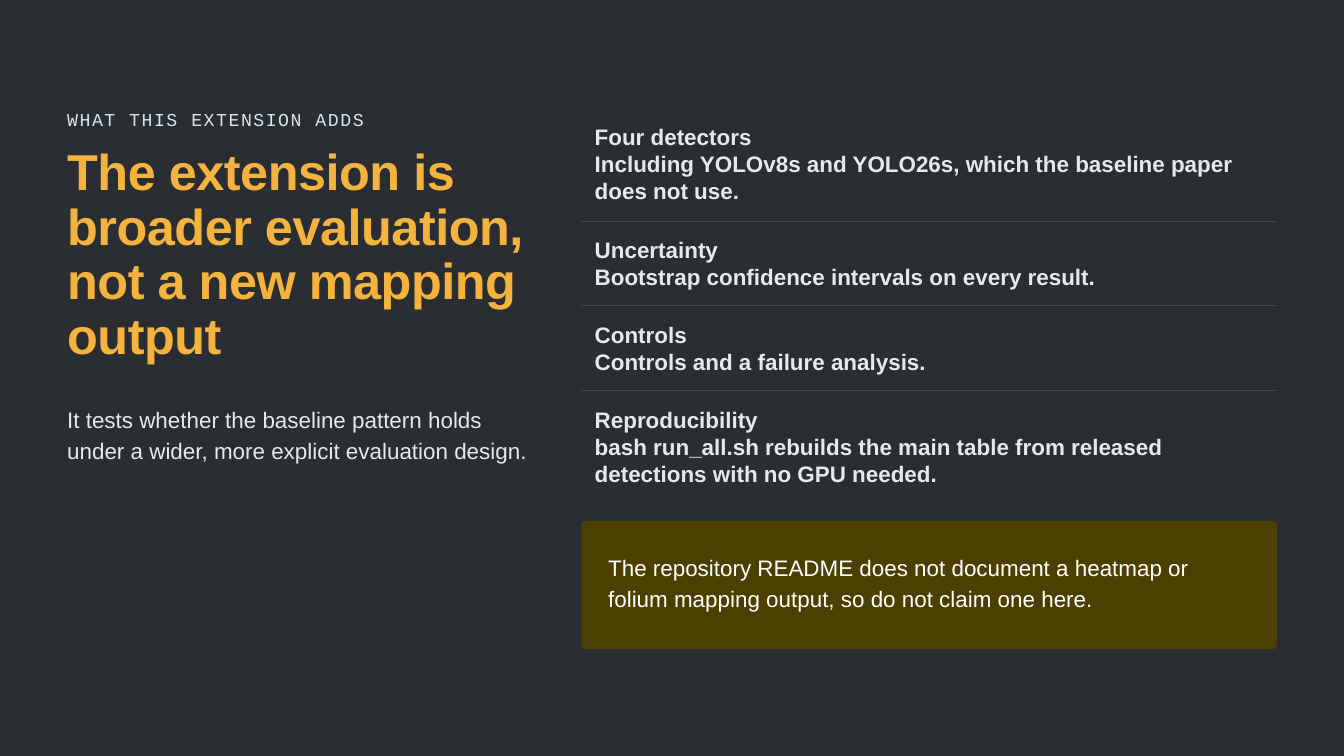
from pptx import Presentation
from pptx.dml.color import RGBColor
from pptx.enum.shapes import MSO_SHAPE
from pptx.enum.text import MSO_ANCHOR, MSO_AUTO_SIZE
from pptx.oxml.ns import qn
from pptx.util import Pt
from lxml.etree import SubElement

BG, RULE, LIGHT = "2A2E32", "3F474C", "E4E9EB"


def rgb(value):
    return RGBColor.from_string(value)


def write(tf, lines, size, color, spacing, font="Arial", bold=False, tracking=0):
    """Fill a text frame, one paragraph per line; spacing and tracking in points."""
    tf.word_wrap = True
    for i, line in enumerate(lines):
        p = tf.paragraphs[0] if i == 0 else tf.add_paragraph()
        p.line_spacing = Pt(spacing)
        p.font.size = Pt(size)
        p.font.name = font
        p.font.bold = bold
        p.font.color.rgb = rgb(color)
        r = p.add_run()
        r.text = line
        if tracking:
            r._r.get_or_add_rPr().set("spc", str(round(tracking * 100)))


prs = Presentation()
prs.slide_width, prs.slide_height = Pt(1440), Pt(810)
s = prs.slides.add_slide(prs.slide_layouts[6])
s.background.fill.solid()
s.background.fill.fore_color.rgb = rgb(BG)

# Warning panel behind its text
panel = s.shapes.add_shape(MSO_SHAPE.ROUNDED_RECTANGLE, Pt(622.8), Pt(558), Pt(745.2), Pt(137.5))
panel.adjustments[0] = 0.03
panel.shadow.inherit = False
panel.fill.solid()
panel.fill.fore_color.rgb = rgb("4B3F02")
panel.line.fill.background()

# Text boxes: left, top, width, height, text, style
boxes = [
    (72, 115.2, 496.8, 25.2, "WHAT THIS EXTENSION ADDS",
     dict(size=19.5, color="D3E6EE", spacing=24.3, font="Courier New", tracking=1.6)),
    (72, 157, 496.8, 254.2, "The extension is broader evaluation, not a new mapping output",
     dict(size=54, color="F4B23E", spacing=58.3, bold=True, tracking=-0.5)),
    (72, 430.6, 496.8, 70.6,
     "It tests whether the baseline pattern holds under a wider, more explicit evaluation design.",
     dict(size=24, color=LIGHT, spacing=33.1)),
    (651.6, 589, 688.3, 70.6,
     "The repository README does not document a heatmap or folium mapping output, "
     "so do not claim one here.",
     dict(size=24, color="FFFFFF", spacing=33.1)),
]
for left, top, width, height, text, style in boxes:
    tf = s.shapes.add_textbox(Pt(left), Pt(top), Pt(width), Pt(height)).text_frame
    tf.margin_left = tf.margin_top = tf.margin_right = tf.margin_bottom = 0
    tf.auto_size = MSO_AUTO_SIZE.SHAPE_TO_FIT_TEXT
    write(tf, [text], **style)

# Additions table, ruled only between rows
additions = [
    (122.4, "Four detectors",
     "Including YOLOv8s and YOLO26s, which the baseline paper does not use."),
    (90.7, "Uncertainty", "Bootstrap confidence intervals on every result."),
    (90.7, "Controls", "Controls and a failure analysis."),
    (121, "Reproducibility",
     "bash run_all.sh rebuilds the main table from released detections with no GPU needed."),
]
table = s.shapes.add_table(len(additions), 1, Pt(622.8), Pt(114.5), Pt(743.8), Pt(424.8)).table
table.first_row = table.horz_banding = False
last = len(additions) - 1
for i, (height, *lines) in enumerate(additions):
    table.rows[i].height = Pt(height)
    cell = table.cell(i, 0)
    cell.vertical_anchor = MSO_ANCHOR.MIDDLE
    cell.margin_left = cell.margin_top = cell.margin_right = cell.margin_bottom = Pt(14.4)
    write(cell.text_frame, lines, 24, LIGHT, 28.8, bold=True)
    borders = {
        "a:lnL": BG,
        "a:lnR": BG,
        "a:lnT": RULE if i > 0 else BG,
        "a:lnB": RULE if i < last else BG,
    }
    tcPr = cell._tc.get_or_add_tcPr()
    for tag, color in borders.items():
        ln = SubElement(tcPr, qn(tag), w=str(Pt(1)))
        SubElement(SubElement(ln, qn("a:solidFill")), qn("a:srgbClr"), val=color)
    cell.fill.background()

prs.save("out.pptx")
